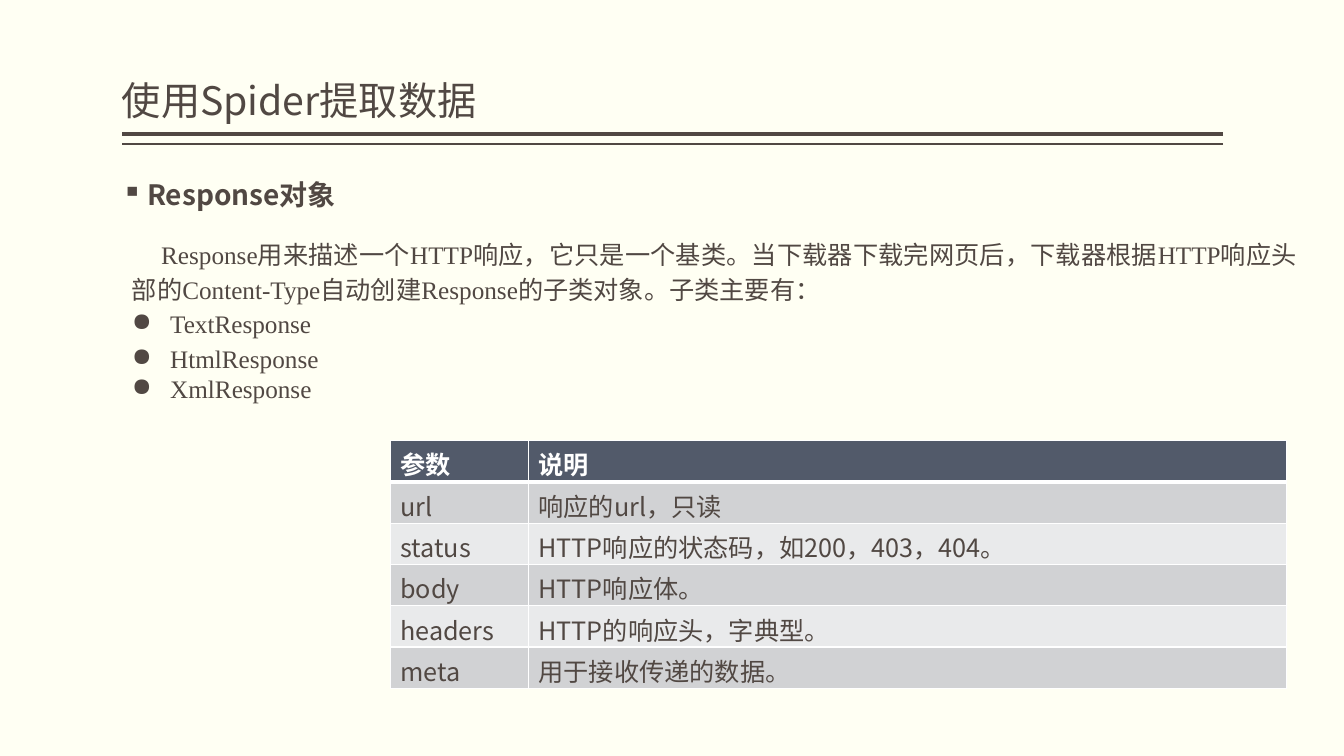
from lxml import etree
from pptx import Presentation
from pptx.dml.color import RGBColor
from pptx.enum import shapes, text
from pptx.oxml import ns
from pptx.util import Inches, Pt

PAPER = RGBColor(0xFF, 0xFF, 0xF3)
BROWN = RGBColor(0x51, 0x48, 0x43)
WHITE = RGBColor(0xFF, 0xFF, 0xFF)
SLATE = RGBColor(0x52, 0x5A, 0x6A)
BANDS = [RGBColor(0xD1, 0xD2, 0xD4), RGBColor(0xE9, 0xEA, 0xEB)]
SANS = "Noto Sans CJK SC"
SERIF = "Times New Roman"

LEFT, RIGHT = 1.21, 12.13
SUBCLASSES = [("TextResponse", 1.15), ("HtmlResponse", 1.15), ("XmlResponse", 1)]
PARAMETERS = [
    ("参数", "说明"),
    ("url", "响应的url，只读"),
    ("status", "HTTP响应的状态码，如200，403，404。"),
    ("body", "HTTP响应体。"),
    ("headers", "HTTP的响应头，字典型。"),
    ("meta", "用于接收传递的数据。"),
]


def add_sub(parent, tag, **attrs):
    return etree.SubElement(parent, ns.qn(tag), **attrs)


def write(p, words, size, color=BROWN, font=SANS, bold=False,
          spacing=None, margin=0, indent=0, bullet=None):
    """Fill one paragraph and set its font, indents and bullet."""
    p.text = words
    pPr = p._p.get_or_add_pPr()
    pPr.set("marL", str(Inches(margin)))
    pPr.set("indent", str(Inches(indent)))
    if bullet:
        add_sub(pPr, "a:buChar", char=bullet)
    if spacing:
        p.line_spacing = spacing
    f = p.font
    f.size, f.bold, f.name = Pt(size), bold, font
    f.color.rgb = color
    # East Asian glyphs always use the sans face
    add_sub(pPr.find(ns.qn("a:defRPr")), "a:ea", typeface=SANS)


def add_text_box(s, x, y, w, h, inset=0, anchor=text.MSO_ANCHOR.TOP):
    tf = s.shapes.add_textbox(Inches(x), Inches(y), Inches(w), Inches(h)).text_frame
    tf.word_wrap = True
    tf.vertical_anchor = anchor
    tf.margin_left = tf.margin_right = Inches(inset)
    return tf


def add_rule(s, y, width):
    line = s.shapes.add_connector(shapes.MSO_CONNECTOR.STRAIGHT,
                                  Inches(RIGHT), Inches(y), Inches(LEFT), Inches(y))
    line.line.color.rgb = BROWN
    line.line.width = Pt(width)
    add_sub(line._element.spPr, "a:effectLst")


def set_borders(cell, top, bottom):
    tcPr = cell._tc.get_or_add_tcPr()
    for side, width in (("L", 1), ("R", 1), ("T", top), ("B", bottom)):
        ln = add_sub(tcPr, f"a:ln{side}", w=str(Pt(width)))
        add_sub(add_sub(ln, "a:solidFill"), "a:srgbClr", val=str(WHITE))


def add_parameter_table(s):
    rows, row_height = len(PARAMETERS), 0.41
    table = s.shapes.add_table(rows, 2, Inches(3.87), Inches(4.37),
                               Inches(8.89), Inches(rows * row_height)).table
    for column, width in zip(table.columns, (1.37, 7.52)):
        column.width = Inches(width)
    for i, row in enumerate(PARAMETERS):
        table.rows[i].height = Inches(row_height)
        header = i == 0
        for j, words in enumerate(row):
            cell = table.cell(i, j)
            set_borders(cell, top=3 if i == 1 else 1, bottom=3 if header else 1)
            cell.fill.solid()
            cell.fill.fore_color.rgb = SLATE if header else BANDS[(i - 1) % 2]
            write(cell.text_frame.paragraphs[0], words, 18,
                  color=WHITE if header else BROWN, bold=header)


def add_description(s):
    tf = add_text_box(s, LEFT, 2.28, 11.75, 1.8, inset=0.1)
    p = tf.paragraphs[0]
    write(p, "Response用来描述一个HTTP响应，它只是一个基类。当下载器下载完网页后，"
             "下载器根据HTTP响应头部的Content-Type自动创建Response的子类对象。子类主要有：",
          18, font=SERIF, spacing=1.15, indent=0.29)
    p.alignment = text.PP_ALIGN.JUSTIFY
    for name, spacing in SUBCLASSES:
        p = tf.add_paragraph()
        write(p, name, 18, font=SERIF, spacing=spacing,
              margin=0.38, indent=-0.38, bullet="●")
        p.alignment = text.PP_ALIGN.JUSTIFY


def main():
    prs = Presentation()
    prs.slide_width, prs.slide_height = Inches(13.33), Inches(7.5)
    s = prs.slides.add_slide(prs.slide_layouts[6])
    s.background.fill.solid()
    s.background.fill.fore_color.rgb = PAPER

    # Title over a double rule
    add_rule(s, 1.33, 3)
    add_rule(s, 1.43, 1)
    title = add_text_box(s, LEFT, 0.08, RIGHT - LEFT, 1.2, anchor=text.MSO_ANCHOR.BOTTOM)
    write(title.paragraphs[0], "使用Spider提取数据", 28, spacing=0.9)

    # Section heading
    heading = add_text_box(s, LEFT, 1.75, 5.03, 0.45)
    write(heading.paragraphs[0], "Response对象", 20, bold=True, spacing=0.9,
          margin=0.25, indent=-0.25, bullet="▪")

    # Parameter table and description
    add_parameter_table(s)
    add_description(s)
    prs.save("out.pptx")


if __name__ == "__main__":
    main()
